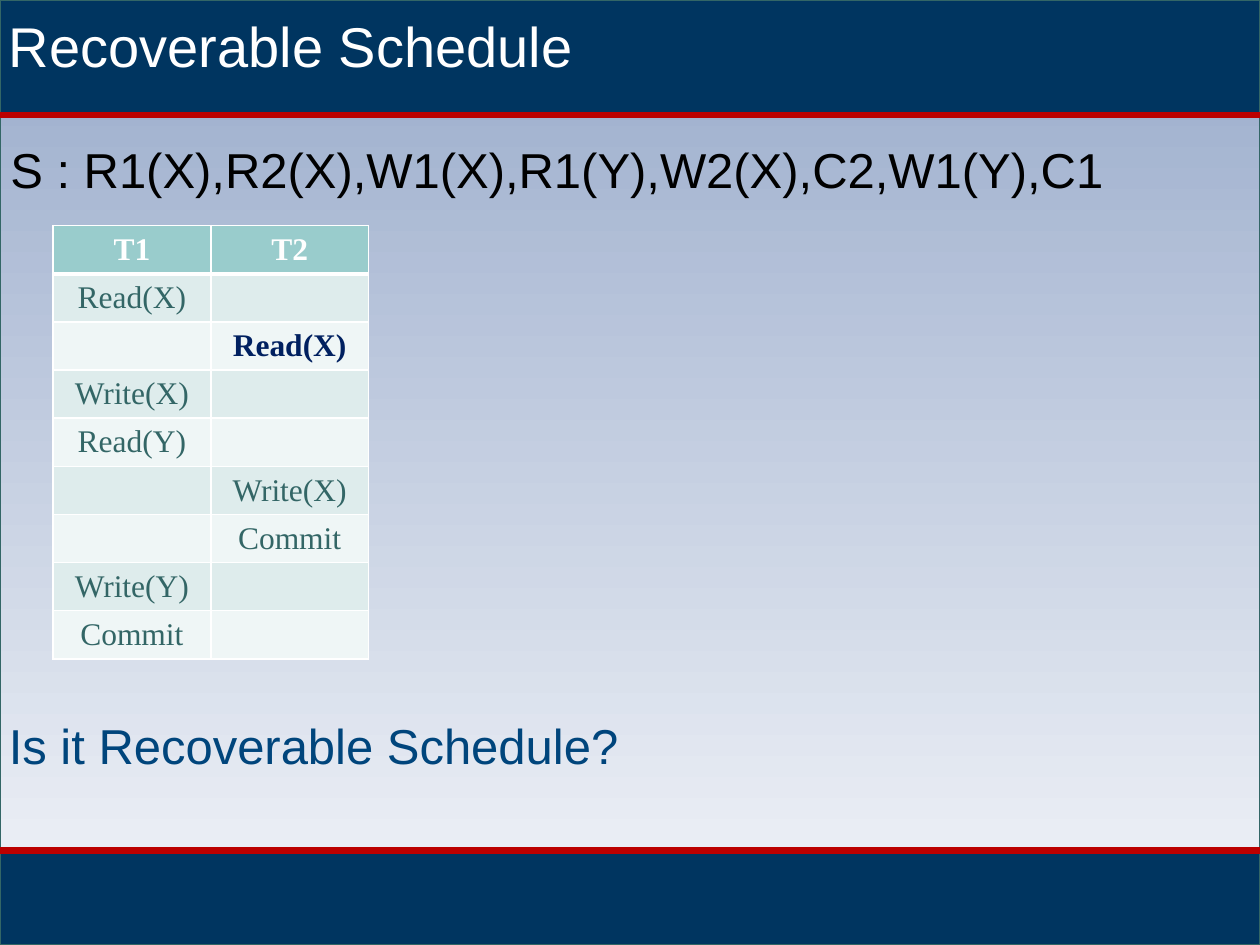
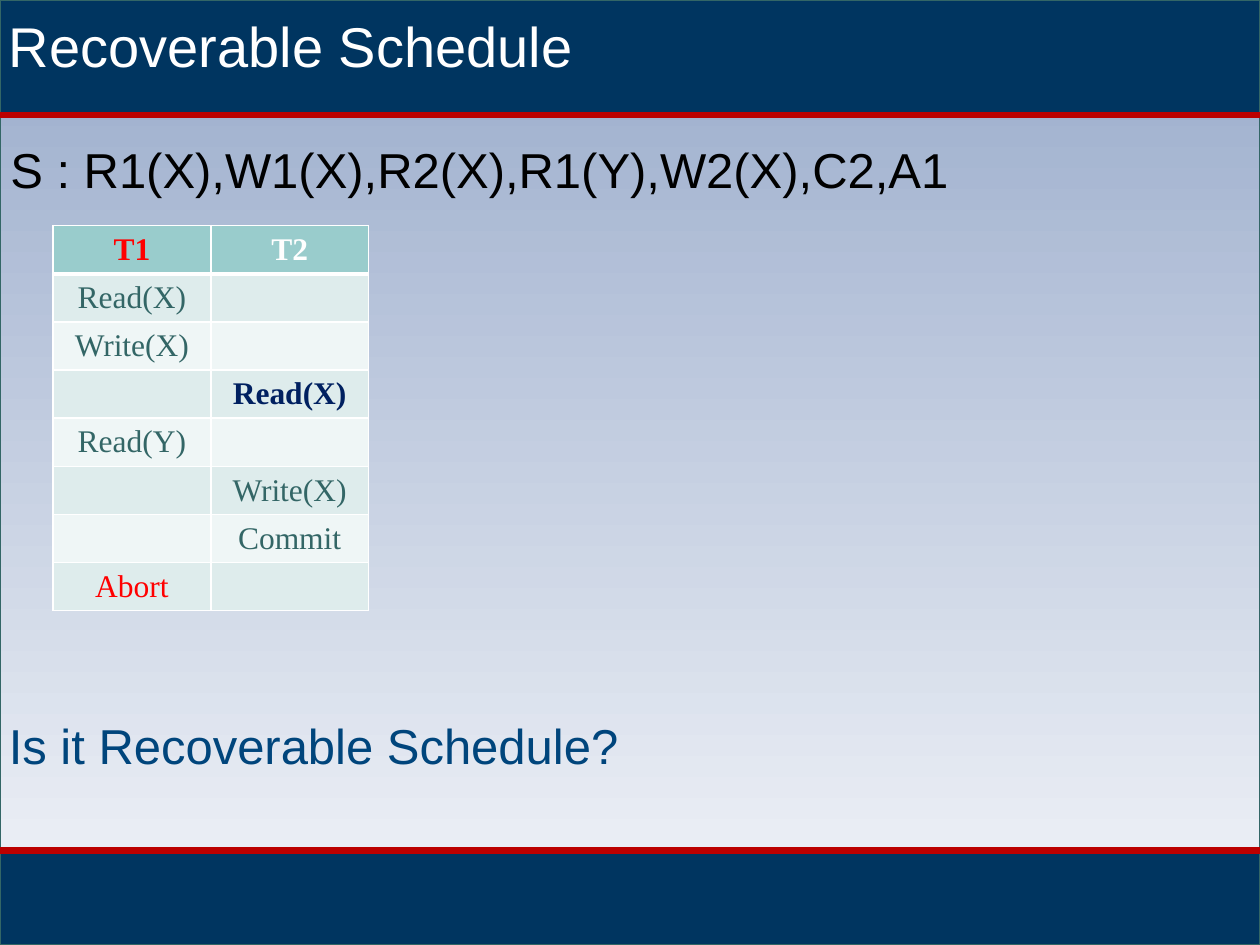
from lxml import etree
from pptx import Presentation
from pptx.dml.color import RGBColor
from pptx.enum.shapes import MSO_CONNECTOR, MSO_SHAPE
from pptx.enum.text import MSO_ANCHOR, PP_ALIGN
from pptx.oxml.ns import qn
from pptx.util import Cm, Pt

RECTANGLE = MSO_SHAPE.RECTANGLE
STRAIGHT = MSO_CONNECTOR.STRAIGHT
CENTER = PP_ALIGN.CENTER
TOP = MSO_ANCHOR.TOP
MIDDLE = MSO_ANCHOR.MIDDLE

WIDTH, HEIGHT = 25.4, 19.05
HEADER_HEIGHT = 2.32
FOOTER_TOP = 17.15
ROW_HEIGHT = 0.97
COLUMN_WIDTH = 3.18

NAVY, RED_RULE, TEAL = "003560", "BC0000", "336666"
WHITE, BLACK, QUESTION_BLUE = "FFFFFF", "000000", "00457C"
SKY_TOP, SKY_BOTTOM = "99ABCB", "F3F5F9"
HEADER_FILL, ROW_FILLS = "99CCCC", ("DEECEC", "EFF6F6")
DARK_READ, ALERT = "002060", "FF0000"

TEXT_FRAME = {"word_wrap": True, "vertical_anchor": TOP,
              "margin_left": Cm(0.18), "margin_right": Cm(0.18),
              "margin_top": Cm(0.23), "margin_bottom": Cm(0.1)}
CELL_FRAME = {"vertical_anchor": MIDDLE,
              "margin_top": Cm(0.05), "margin_bottom": Cm(0.05)}
TITLE_FONT = {"name": "Arial", "size": Pt(32), "bold": False}
BODY_FONT = {"name": "Arial", "size": Pt(28), "bold": False}
CELL_FONT = {"name": "Times New Roman", "size": Pt(18)}

SCHEDULES = [
    {
        "history": "S : R1(X),R2(X),W1(X),R1(Y),W2(X),C2,W1(Y),C1",
        "steps": [("T1", "T2"), ("Read(X)", ""), ("", "Read(X)"),
                  ("Write(X)", ""), ("Read(Y)", ""), ("", "Write(X)"),
                  ("", "Commit"), ("Write(Y)", ""), ("Commit", "")],
        "alerts": (),
    },
    {
        "history": "S : R1(X),W1(X),R2(X),R1(Y),W2(X),C2,A1",
        "steps": [("T1", "T2"), ("Read(X)", ""), ("Write(X)", ""),
                  ("", "Read(X)"), ("Read(Y)", ""), ("", "Write(X)"),
                  ("", "Commit"), ("Abort", "")],
        "alerts": ("T1", "Abort"),
    },
]


def color(value):
    return RGBColor.from_string(value)


def apply(target, values):
    for name, value in values.items():
        setattr(target, name, value)


class Deck:
    def __init__(self):
        self.presentation = Presentation()
        apply(self.presentation,
              {"slide_width": Cm(WIDTH), "slide_height": Cm(HEIGHT)})
        self.slide = None

    def new_slide(self):
        self.slide = self.presentation.slides.add_slide(
            self.presentation.slide_layouts[6])
        backdrop = self.band(0, HEIGHT, SKY_TOP)
        backdrop.fill.gradient()
        backdrop.fill.gradient_angle = 270
        for stop, shade in zip(backdrop.fill.gradient_stops,
                               (SKY_TOP, SKY_BOTTOM)):
            stop.color.rgb = color(shade)
        self.band(FOOTER_TOP, HEIGHT - FOOTER_TOP, NAVY)
        self.band(0, HEADER_HEIGHT, NAVY)
        for edge in (HEADER_HEIGHT, FOOTER_TOP):
            self.rule(edge)

    def band(self, top, height, fill):
        band = self.slide.shapes.add_shape(
            RECTANGLE, 0, Cm(top), Cm(WIDTH), Cm(height))
        band.shadow.inherit = False
        band.fill.solid()
        band.fill.fore_color.rgb = color(fill)
        band.line.color.rgb = color(TEAL)
        band.line.width = Pt(0.75)
        return band

    def rule(self, top):
        rule = self.slide.shapes.add_connector(
            STRAIGHT, 0, Cm(top), Cm(WIDTH), Cm(top))
        rule.line.color.rgb = color(RED_RULE)
        rule.line.width = Pt(3.75)
        etree.SubElement(rule._element.spPr, qn("a:effectLst"))

    def styled_run(self, paragraph, words, font, shade):
        run = paragraph.add_run()
        run.text = words
        apply(run.font, font)
        run.font.color.rgb = color(shade)

    def text(self, words, left, top, height, font, shade):
        frame = self.slide.shapes.add_textbox(
            Cm(left), Cm(top), Cm(WIDTH - 2 * left), Cm(height)).text_frame
        apply(frame, TEXT_FRAME)
        self.styled_run(frame.paragraphs[0], words, font, shade)

    def borders(self, cell, top, bottom):
        properties = cell._tc.get_or_add_tcPr()
        sides = {"L": 1, "R": 1, "T": top, "B": bottom}
        for position, (side, points) in enumerate(sides.items()):
            edge = etree.Element(qn(f"a:ln{side}"), w=str(Pt(points)))
            fill = etree.SubElement(edge, qn("a:solidFill"))
            etree.SubElement(fill, qn("a:srgbClr"), val=WHITE)
            properties.insert(position, edge)

    def schedule_table(self, steps, alerts):
        columns = len(steps[0])
        table = self.slide.shapes.add_table(
            len(steps), columns, Cm(1.07), Cm(4.55),
            Cm(columns * COLUMN_WIDTH), Cm(len(steps) * ROW_HEIGHT)).table
        for row_index, step in enumerate(steps):
            table.rows[row_index].height = Cm(ROW_HEIGHT)
            is_header = row_index == 0
            fill = HEADER_FILL if is_header else ROW_FILLS[(row_index - 1) % 2]
            for column_index, action in enumerate(step):
                cell = table.cell(row_index, column_index)
                apply(cell, CELL_FRAME)
                cell.fill.solid()
                cell.fill.fore_color.rgb = color(fill)
                self.borders(cell, 3 if row_index == 1 else 1,
                             3 if is_header else 1)
                if action:
                    is_second_read = (column_index, action) == (1, "Read(X)")
                    shade = (ALERT if action in alerts
                             else WHITE if is_header
                             else DARK_READ if is_second_read else TEAL)
                    paragraph = cell.text_frame.paragraphs[0]
                    paragraph.alignment = CENTER
                    bold = is_header or is_second_read
                    self.styled_run(paragraph, action,
                                    {**CELL_FONT, "bold": bold}, shade)


def main():
    deck = Deck()
    for schedule in SCHEDULES:
        deck.new_slide()
        deck.schedule_table(schedule["steps"], schedule["alerts"])
        deck.text("Is it Recoverable Schedule?", 0, 14.2, 1.45,
                  BODY_FONT, QUESTION_BLUE)
        deck.text("Recoverable Schedule", 0, 0, 1.9, TITLE_FONT, WHITE)
        deck.text(schedule["history"], 0.03, 2.59, 1.45, BODY_FONT, BLACK)
    deck.presentation.save("out.pptx")


if __name__ == "__main__":
    main()
